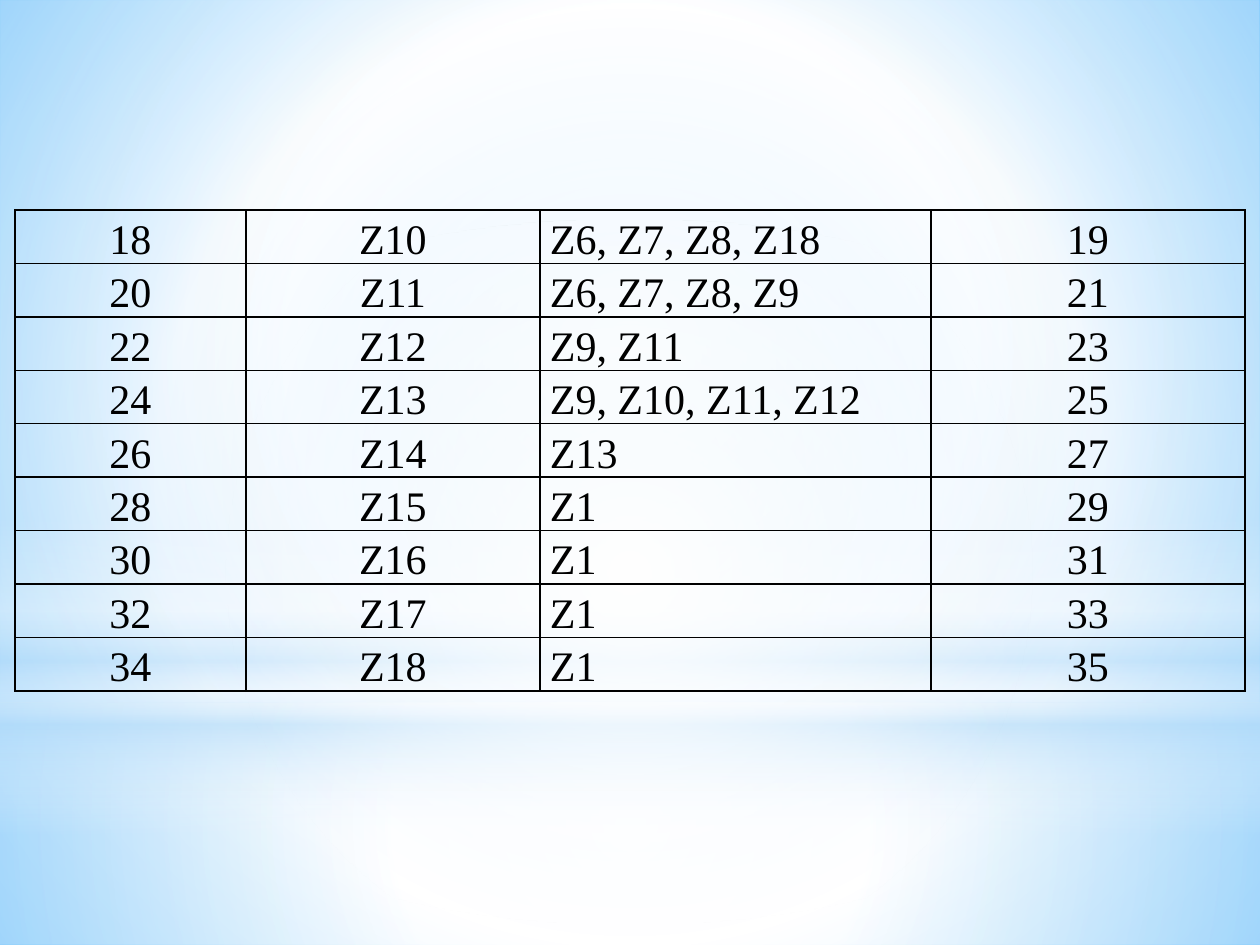
"""Build a slide with a four-column table on a soft sky backdrop."""
from dataclasses import dataclass

from lxml import etree
from pptx import Presentation
from pptx import util as u
from pptx.dml.color import RGBColor
from pptx.enum import shapes, text
from pptx.oxml import ns

ROWS = [
    ("18", "Z10", "Z6, Z7, Z8, Z18", "19"),
    ("20", "Z11", "Z6, Z7, Z8, Z9", "21"),
    ("22", "Z12", "Z9, Z11", "23"),
    ("24", "Z13", "Z9, Z10, Z11, Z12", "25"),
    ("26", "Z14", "Z13", "27"),
    ("28", "Z15", "Z1", "29"),
    ("30", "Z16", "Z1", "31"),
    ("32", "Z17", "Z1", "33"),
    ("34", "Z18", "Z1", "35"),
]
COLUMN_WIDTHS = (231, 294, 391, 314)
LIST_COLUMN = 2
TABLE_LEFT, TABLE_TOP, ROW_HEIGHT, LIST_INDENT = 15, 210, 53, 10
SLIDE_WIDTH, SLIDE_HEIGHT, HORIZON = 1260, 945, 703


@dataclass(frozen=True)
class Theme:
    ink: str = "000000"
    white: str = "FFFFFF"
    mist: str = "B4DCFA"
    sky: str = "99D4FE"
    deep: str = "54BDFF"
    font: str = "Times New Roman"
    size: int = 24
    spacing: float = 1.15
    border: int = 1


THEME = Theme()
BACKDROP = [(0, THEME.sky, 100), (60, THEME.white, 100), (100, THEME.deep, 100)]
RECTANGLE = shapes.MSO_SHAPE.RECTANGLE
OVAL = shapes.MSO_SHAPE.OVAL
LAYERS = [
    (RECTANGLE, HORIZON, SLIDE_HEIGHT - HORIZON, True,
     [(0, THEME.white, 91), (37, THEME.white, 76), (100, THEME.mist, 79)]),
    (RECTANGLE, 0, HORIZON, True,
     [(0, THEME.white, 89), (48, THEME.white, 62), (100, THEME.mist, 79)]),
    (RECTANGLE, 519, 315, False,
     [(0, THEME.white, 0), (29, THEME.white, 30), (45, THEME.mist, 40),
      (55, THEME.white, 26), (65, THEME.mist, 60), (100, THEME.white, 0)]),
    (OVAL, 220, HORIZON, True,
     [(0, THEME.white, 100), (56, THEME.white, 0), (100, THEME.white, 0)]),
]


def px(length):
    return u.Emu(length * u.Inches(1) // 126)


def add_child(parent, tag, **attributes):
    values = {name: str(value) for name, value in attributes.items()}
    return etree.SubElement(parent, ns.qn(tag), values)


def paint_gradient(owner, fill, stops, radial):
    fill.solid()
    solid = next(owner.iter(ns.qn("a:solidFill")))
    gradient = etree.Element(ns.qn("a:gradFill"), rotWithShape="1")
    stop_list = add_child(gradient, "a:gsLst")
    for position, colour, opacity in stops:
        stop = add_child(stop_list, "a:gs", pos=position * 1000)
        shade = add_child(stop, "a:srgbClr", val=colour)
        if opacity < 100:
            add_child(shade, "a:alpha", val=opacity * 1000)
    if radial:
        centre = add_child(gradient, "a:path", path="circle")
        add_child(centre, "a:fillToRect", l=50000, t=50000, r=50000, b=50000)
    else:
        add_child(gradient, "a:lin", ang=90 * 60000, scaled=0)
    solid.getparent().replace(solid, gradient)


def add_layer(slide, kind, top, height, radial, stops):
    shape = slide.shapes.add_shape(kind, 0, px(top), px(SLIDE_WIDTH), px(height))
    shape.shadow.inherit = False
    shape.line.fill.background()
    paint_gradient(shape.element.spPr, shape.fill, stops, radial)


def draw_borders(cell):
    properties = cell._tc.get_or_add_tcPr()
    for index, side in enumerate(("L", "R", "T", "B")):
        line = add_child(properties, f"a:ln{side}", w=u.Pt(THEME.border))
        fill = add_child(line, "a:solidFill")
        add_child(fill, "a:srgbClr", val=THEME.ink)
        properties.insert(index, line)


def fill_cell(cell, words, is_list):
    cell.margin_left = px(LIST_INDENT) if is_list else 0
    cell.margin_right = cell.margin_top = cell.margin_bottom = 0
    cell.fill.background()
    draw_borders(cell)
    paragraph = cell.text_frame.paragraphs[0]
    paragraph.alignment = text.PP_ALIGN.JUSTIFY if is_list else text.PP_ALIGN.CENTER
    paragraph.line_spacing = THEME.spacing
    run = paragraph.add_run()
    run.text = words
    run.font.name = THEME.font
    run.font.size = u.Pt(THEME.size)
    run.font.color.rgb = RGBColor.from_string(THEME.ink)


def add_table(slide):
    table = slide.shapes.add_table(
        len(ROWS), len(COLUMN_WIDTHS), px(TABLE_LEFT), px(TABLE_TOP),
        px(sum(COLUMN_WIDTHS)), px(ROW_HEIGHT * len(ROWS))).table
    table.first_row = table.horz_banding = False
    for column, width in zip(table.columns, COLUMN_WIDTHS):
        column.width = px(width)
    for row, values in zip(table.rows, ROWS):
        row.height = px(ROW_HEIGHT)
        for index, words in enumerate(values):
            fill_cell(row.cells[index], words, index == LIST_COLUMN)


def main():
    presentation = Presentation()
    presentation.slide_width = px(SLIDE_WIDTH)
    presentation.slide_height = px(SLIDE_HEIGHT)
    slide = presentation.slides.add_slide(presentation.slide_layouts[6])
    paint_gradient(slide.element, slide.background.fill, BACKDROP, True)
    for layer in LAYERS:
        add_layer(slide, *layer)
    add_table(slide)
    presentation.save("out.pptx")


if __name__ == "__main__":
    main()
